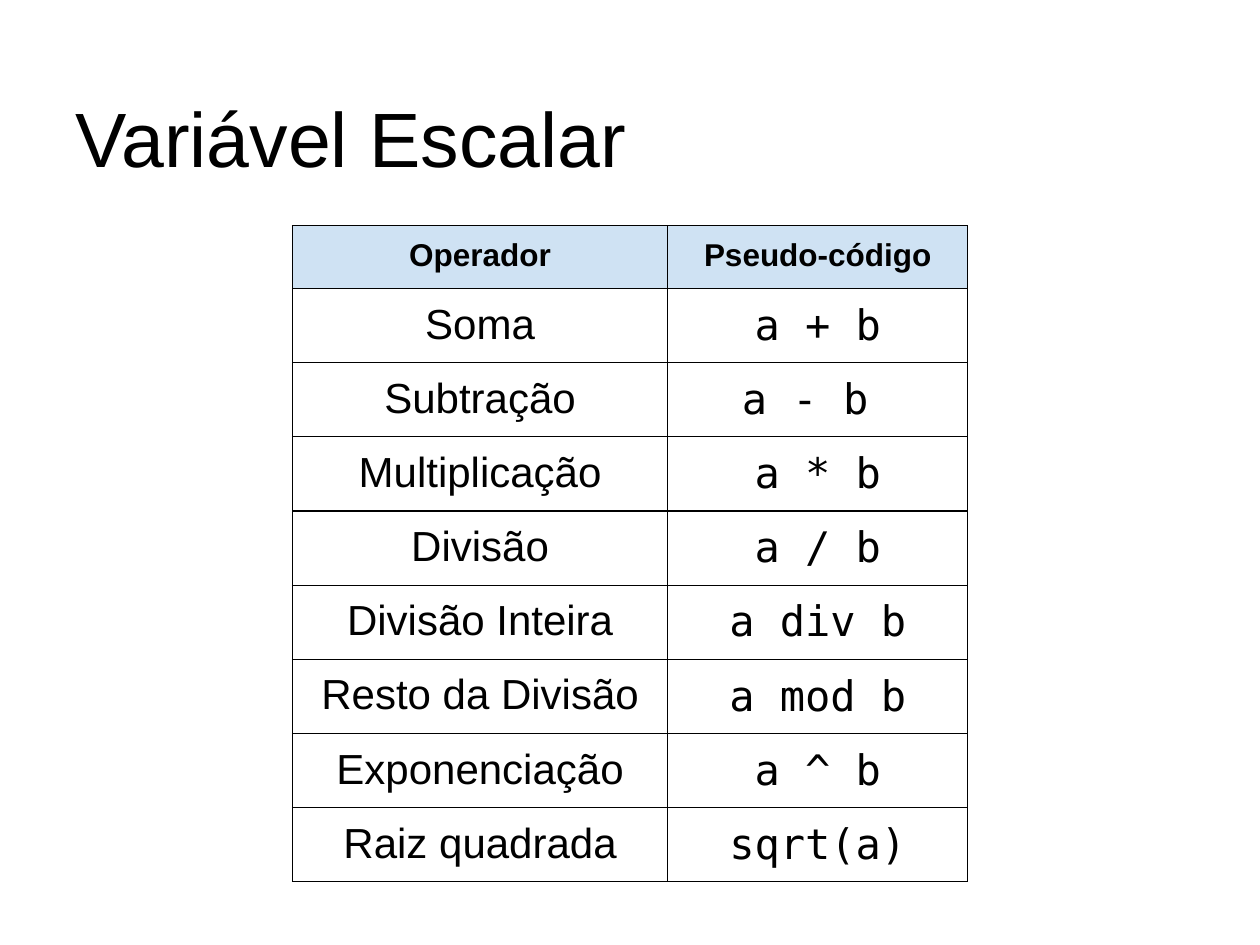
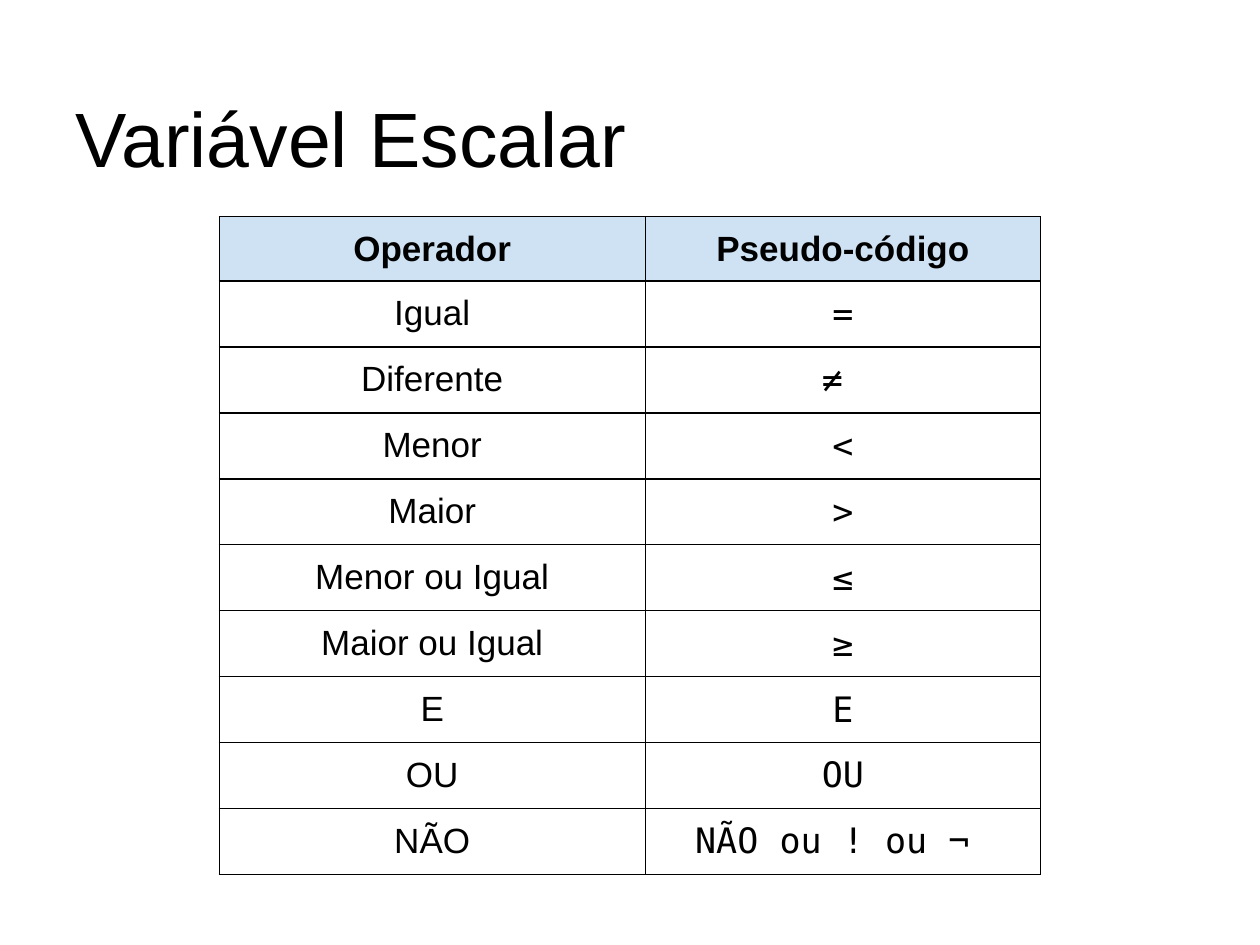
"""Build two slides of operator tables that share one title and table style."""
from dataclasses import dataclass

import lxml.etree
import pptx
import pptx.dml.color
import pptx.enum.text
import pptx.oxml.ns
import pptx.slide
import pptx.table
import pptx.text.text
import pptx.util

Align = pptx.enum.text.PP_ALIGN
Anchor = pptx.enum.text.MSO_ANCHOR


@dataclass(frozen=True)
class Theme:
    ink: str = "000000"
    paper: str = "FFFFFF"
    band: str = "CFE2F3"
    sans: str = "Arial"
    mono: str = "DejaVu Sans Mono"
    title: int = 44
    line: float = 0.75
    inset: float = 0.1
    head: float = 0.5
    row: float = 0.42


@dataclass(frozen=True)
class Grid:
    top: float
    cols: tuple[float, float]
    head_size: int
    body_size: int
    rows: tuple[tuple[str, str], ...]


THEME = Theme()
WIDTH, HEIGHT = 10, 7.5
TITLE = "Variável Escalar"
HEADS = ("Operador", "Pseudo-código")
GRIDS = (
    Grid(1.79, (2.98, 2.38), 18, 24, (
        ("Soma", "a + b"),
        ("Subtração", "a - b "),
        ("Multiplicação", "a * b"),
        ("Divisão", "a / b"),
        ("Divisão Inteira", "a div b"),
        ("Resto da Divisão", "a mod b"),
        ("Exponenciação", "a ^ b"),
        ("Raiz quadrada", "sqrt(a)"),
    )),
    Grid(1.72, (3.38, 3.14), 20, 20, (
        ("Igual", "="),
        ("Diferente", "≠ "),
        ("Menor", "<"),
        ("Maior", ">"),
        ("Menor ou Igual", "≤"),
        ("Maior ou Igual", "≥"),
        ("E", "E"),
        ("OU", "OU"),
        ("NÃO", "NÃO ou ! ou ¬ "),
    )),
)


def inch(size: float) -> pptx.util.Length:
    return pptx.util.Inches(size)


def color(code: str) -> pptx.dml.color.RGBColor:
    return pptx.dml.color.RGBColor.from_string(code)


def write(frame: pptx.text.text.TextFrame, text: str, *, size: int,
          font: str = THEME.sans, bold: bool = False,
          align: Align = Align.CENTER) -> None:
    frame.margin_left = frame.margin_right = inch(THEME.inset)
    frame.margin_top = frame.margin_bottom = inch(THEME.inset)
    para = frame.paragraphs[0]
    para.alignment = align
    run = para.add_run()
    run.text = text
    run.font.name = font
    run.font.size = pptx.util.Pt(size)
    run.font.bold = bold
    run.font.color.rgb = color(THEME.ink)


def edge(cell: pptx.table._Cell) -> None:
    name = pptx.oxml.ns.qn
    props = cell._tc.get_or_add_tcPr()
    for side in ("a:lnL", "a:lnR", "a:lnT", "a:lnB"):
        line = lxml.etree.SubElement(
            props, name(side), w=str(pptx.util.Pt(THEME.line)))
        fill = lxml.etree.SubElement(line, name("a:solidFill"))
        lxml.etree.SubElement(fill, name("a:srgbClr"), val=THEME.ink)


def draw_title(slide: pptx.slide.Slide) -> None:
    shape = slide.shapes.title
    shape.left, shape.top = inch(0.05 * WIDTH), inch(0.04 * HEIGHT)
    shape.width, shape.height = inch(0.9 * WIDTH), inch(HEIGHT / 6)
    frame = shape.text_frame
    frame.auto_size = pptx.enum.text.MSO_AUTO_SIZE.NONE
    frame.vertical_anchor = Anchor.BOTTOM
    write(frame, TITLE, size=THEME.title, align=Align.LEFT)


def draw_grid(slide: pptx.slide.Slide, grid: Grid) -> None:
    lines = (HEADS, *grid.rows)
    width = sum(grid.cols)
    tall = THEME.head + THEME.row * len(grid.rows)
    table = slide.shapes.add_table(
        len(lines), len(grid.cols), inch((WIDTH - width) / 2),
        inch(grid.top), inch(width), inch(tall)).table
    table.first_row = table.horz_banding = False
    for col, size in zip(table.columns, grid.cols):
        col.width = inch(size)
    for i, line in enumerate(lines):
        head = i == 0
        table.rows[i].height = inch(THEME.head if head else THEME.row)
        for j, text in enumerate(line):
            cell = table.cell(i, j)
            edge(cell)
            cell.fill.solid()
            cell.fill.fore_color.rgb = color(
                THEME.band if head else THEME.paper)
            cell.vertical_anchor = Anchor.TOP
            write(cell.text_frame, text, bold=head,
                  size=grid.head_size if head else grid.body_size,
                  font=THEME.mono if j and not head else THEME.sans)
            cell.margin_left = cell.margin_right = inch(THEME.inset)
            cell.margin_top = cell.margin_bottom = inch(THEME.inset)


def main() -> None:
    deck = pptx.Presentation()
    deck.slide_width, deck.slide_height = inch(WIDTH), inch(HEIGHT)
    for grid in GRIDS:
        slide = deck.slides.add_slide(
            deck.slide_layouts.get_by_name("Title Only"))
        draw_title(slide)
        draw_grid(slide, grid)
    deck.save("out.pptx")


if __name__ == "__main__":
    main()
